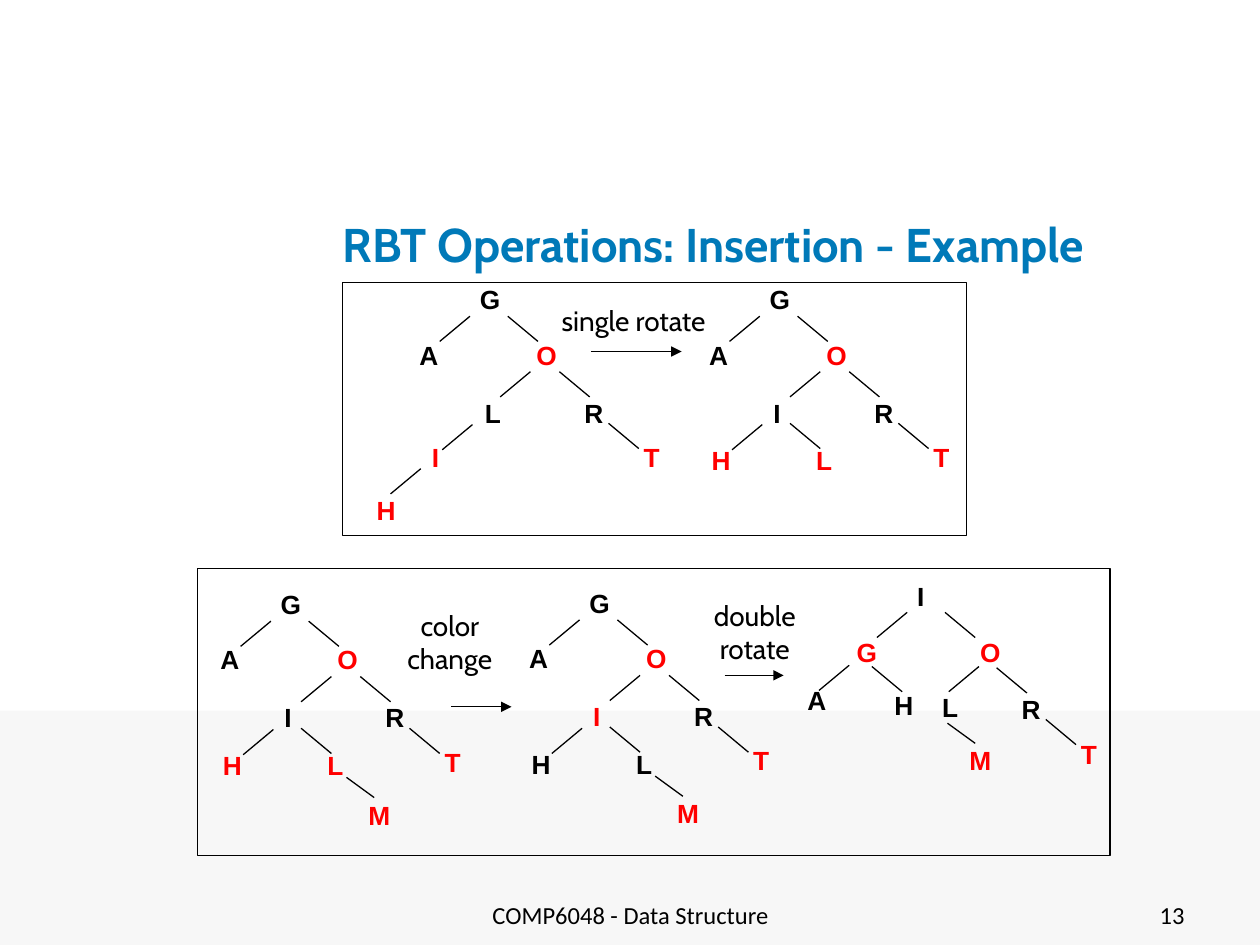
from lxml import etree
from pptx import Presentation
from pptx.dml.color import RGBColor
from pptx.enum.shapes import MSO_CONNECTOR, MSO_SHAPE
from pptx.enum.text import MSO_ANCHOR, MSO_AUTO_SIZE, PP_ALIGN
from pptx.oxml.ns import qn
from pptx.util import Inches, Pt

LINE = MSO_CONNECTOR.STRAIGHT
RECT = MSO_SHAPE.RECTANGLE
TOP, MIDDLE = MSO_ANCHOR.TOP, MSO_ANCHOR.MIDDLE
GROW = MSO_AUTO_SIZE.SHAPE_TO_FIT_TEXT
LEFT, CENTER, RIGHT = PP_ALIGN.LEFT, PP_ALIGN.CENTER, PP_ALIGN.RIGHT

BLACK = RGBColor(0x00, 0x00, 0x00)
RED = RGBColor(0xFF, 0x00, 0x00)
BLUE = RGBColor(0x00, 0x79, 0xB8)
WHITE = RGBColor(0xFF, 0xFF, 0xFF)
GRAY = RGBColor(0xF7, 0xF7, 0xF7)

# Node box widths by letter; all other letters use WIDE
WIDE = 0.35
WIDTHS = {"I": 0.26, "L": 0.33, "T": 0.33, "G": 0.36, "O": 0.36, "M": 0.38}

# Edge steps: left child, right child, and the flatter edge down to M
STEPS = {"left": (-0.24, 0.2), "right": (0.24, 0.2), "flat": (0.22, 0.16)}

# Nodes are (letter, x, y, color); edges are (step, x, y); from the tree's origin
BASE_NODES = [("G", 0, 0, BLACK), ("A", -0.48, 0.44, BLACK),
              ("O", 0.45, 0.44, RED), ("R", 0.83, 0.9, BLACK),
              ("T", 1.3, 1.25, RED)]
BASE_EDGES = [("left", 0.02, 0.31), ("right", 0.32, 0.31),
              ("left", 0.5, 0.75), ("right", 0.73, 0.75),
              ("left", 0.04, 1.17), ("right", 1.12, 1.16)]
FORK = ("right", 0.26, 1.16)
M_NODE = ("M", 0.69, 1.67, RED)
M_EDGE = ("flat", 0.62, 1.55)

LAST_NODES = [("I", 0, 0, BLACK), ("G", -0.48, 0.44, RED),
              ("O", 0.5, 0.44, RED), ("A", -0.87, 0.82, BLACK),
              ("H", -0.18, 0.86, BLACK), ("L", 0.2, 0.88, BLACK),
              ("R", 0.83, 0.89, BLACK), ("M", 0.41, 1.3, RED),
              ("T", 1.3, 1.25, RED)]
LAST_EDGES = [("left", 0.02, 0.3), ("right", 0.32, 0.3),
              ("left", -0.44, 0.72), ("right", -0.26, 0.73),
              ("left", 0.59, 0.73), ("right", 0.73, 0.74),
              ("flat", 0.34, 1.18), ("right", 1.12, 1.15)]


def low_nodes(i_color, h_color, l_color):
    """Subtree I with children H and L."""
    return [("I", 0.03, 0.9, i_color), ("H", -0.46, 1.28, h_color),
            ("L", 0.37, 1.28, l_color)]


def add_text(slide, text, box, size, font, color=BLACK, bold=False,
             align=LEFT, anchor=TOP, wrap=True, grow=False):
    shape = slide.shapes.add_textbox(*map(Inches, box))
    frame = shape.text_frame
    frame.word_wrap = wrap
    frame.vertical_anchor = anchor
    if grow:
        frame.auto_size = GROW
    para = frame.paragraphs[0]
    para.alignment = align
    run = para.add_run()
    run.text = text
    run.font.size = Pt(size)
    run.font.name = font
    run.font.bold = bold
    run.font.color.rgb = color


def add_line(slide, x, y, dx, dy, arrow=False):
    line = slide.shapes.add_connector(
        LINE, Inches(x), Inches(y), Inches(x + dx), Inches(y + dy))
    line.line.color.rgb = BLACK
    line.line.width = Pt(0.75)
    props = line._element.spPr
    if arrow:
        etree.SubElement(props.find(qn("a:ln")), qn("a:tailEnd"), type="triangle")
    etree.SubElement(props, qn("a:effectLst"))


def add_rect(slide, box, fill=None):
    shape = slide.shapes.add_shape(RECT, *map(Inches, box))
    shape.shadow.inherit = False
    if fill is None:
        shape.fill.background()
        shape.line.color.rgb = BLACK
        shape.line.width = Pt(0.75)
    else:
        shape.fill.solid()
        shape.fill.fore_color.rgb = fill
        shape.line.fill.background()


def add_tree(slide, left, top, nodes, edges):
    for name, x, y, color in nodes:
        box = (left + x, top + y, WIDTHS.get(name, WIDE), 0.35)
        add_text(slide, name, box, 15, "Arial", color, bold=True,
                 align=CENTER if name == "M" else LEFT, wrap=False, grow=True)
    for step, x, y in edges:
        add_line(slide, left + x, top + y, *STEPS[step])


def add_step(slide, text, box, x, y, length, wrap=True):
    """Label with the arrow that leads to the next tree."""
    add_text(slide, text, box, 16, "Cabin", align=CENTER if wrap else LEFT,
             wrap=wrap, grow=True)
    add_line(slide, x, y, length, 0, arrow=True)


def main():
    deck = Presentation()
    deck.slide_width, deck.slide_height = Inches(10), Inches(7.5)
    slide = deck.slides.add_slide(deck.slide_layouts[6])

    # Background, title and footer
    slide.background.fill.solid()
    slide.background.fill.fore_color.rgb = WHITE
    add_rect(slide, (0, 5.64, 10, 1.86), GRAY)
    add_text(slide, "RBT Operations: Insertion - Example", (1.92, 1.5, 7.48, 0.87),
             27, "Cabin", BLUE, bold=True, align=CENTER, anchor=MIDDLE)
    add_text(slide, "COMP6048 - Data Structure", (3.42, 7.06, 3.17, 0.4),
             14, "Calibri", align=CENTER, anchor=MIDDLE)
    add_text(slide, "13", (7.17, 7.06, 2.33, 0.4),
             14, "Calibri", align=RIGHT, anchor=MIDDLE)

    # Upper panel: single rotation
    chain = [("L", 0.04, 0.9, BLACK), ("I", -0.38, 1.25, RED),
             ("H", -0.82, 1.67, RED)]
    add_tree(slide, 3.71, 2.2, BASE_NODES + chain,
             BASE_EDGES + [("left", -0.37, 1.52)])
    add_tree(slide, 6.01, 2.2, BASE_NODES + low_nodes(BLACK, RED, RED),
             BASE_EDGES + [FORK])
    add_step(slide, "single rotate", (4.36, 2.36, 1.43, 0.37),
             4.69, 2.79, 0.72, wrap=False)
    add_rect(slide, (2.72, 2.24, 4.95, 2.01))

    # Lower panel: color change, then double rotation
    grown = BASE_EDGES + [FORK, M_EDGE]
    add_tree(slide, 2.13, 4.62,
             BASE_NODES + low_nodes(BLACK, RED, RED) + [M_NODE], grown)
    add_tree(slide, 4.58, 4.61,
             BASE_NODES + low_nodes(RED, BLACK, BLACK) + [M_NODE], grown)
    add_tree(slide, 7.18, 4.56, LAST_NODES, LAST_EDGES)
    add_rect(slide, (1.57, 4.51, 7.24, 2.28))
    add_step(slide, "color change", (3, 4.78, 1.14, 0.64), 3.58, 5.61, 0.48)
    add_step(slide, "double rotate", (5.42, 4.7, 1.14, 0.64), 5.75, 5.36, 0.47)

    deck.save("out.pptx")


if __name__ == "__main__":
    main()
